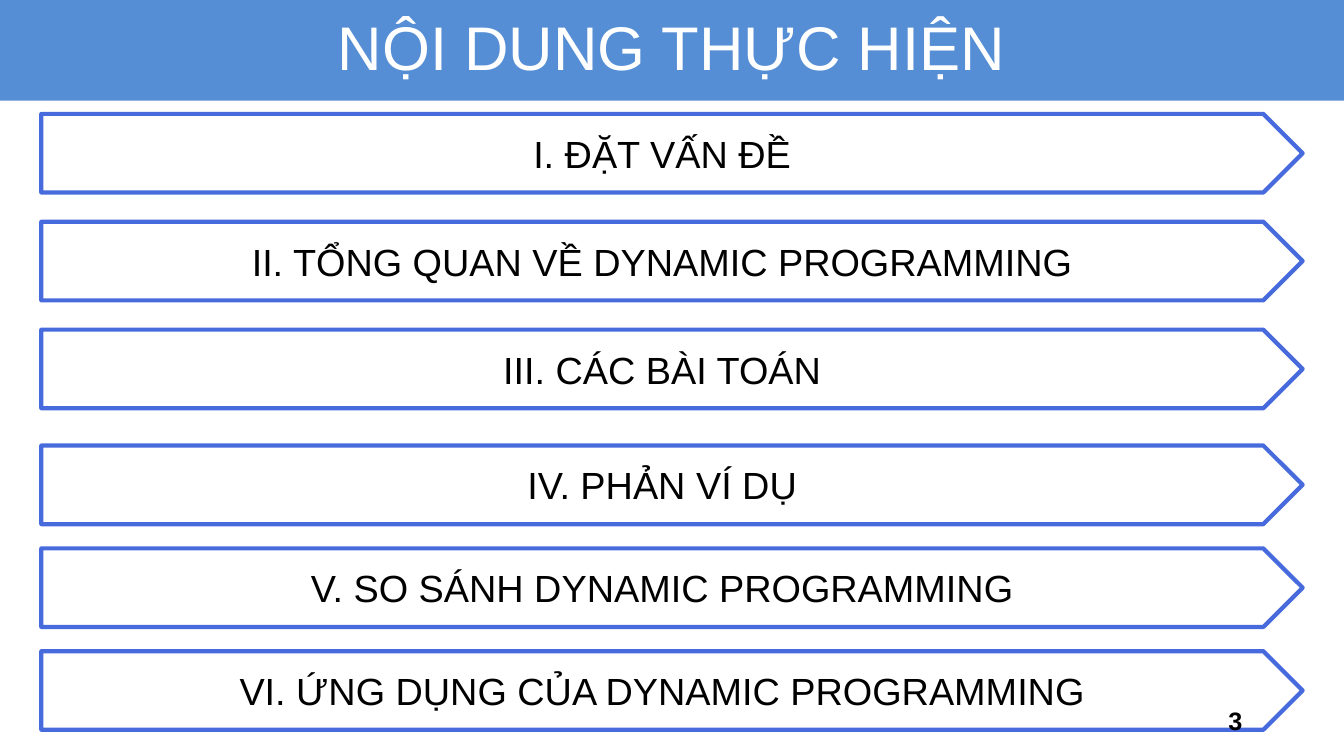
from pptx import Presentation
from pptx.dml.color import RGBColor
from pptx.enum.shapes import MSO_SHAPE
from pptx.enum.text import MSO_ANCHOR, PP_ALIGN
from pptx.util import Emu, Pt

SCALE = 9144
WIDE, HIGH = 1333, 750
GROUPS = [
    (113, 107, ["I. ĐẶT VẤN ĐỀ",
                "II. TỔNG QUAN VỀ DYNAMIC PROGRAMMING",
                "III. CÁC BÀI TOÁN"]),
    (442, 102, ["IV. PHẢN VÍ DỤ",
                "V. SO SÁNH DYNAMIC PROGRAMMING",
                "VI. ỨNG DỤNG CỦA DYNAMIC PROGRAMMING"]),
]


def px(count):
    """Turn pixels into EMU."""
    return Emu(count * SCALE)


def color(code):
    """Turn a hex string into a colour."""
    return RGBColor.from_string(code)


def write(shape, text, size=27, ink="000000", bold=False,
          align=PP_ALIGN.CENTER, space=None):
    """Put one formatted line of text in a shape."""
    frame = shape.text_frame
    frame.word_wrap = True
    frame.vertical_anchor = MSO_ANCHOR.MIDDLE
    line = frame.paragraphs[0]
    line.alignment = align
    line.line_spacing = space
    run = line.add_run()
    run.text = text
    run.font.name = "Arial"
    run.font.size = Pt(size)
    run.font.bold = bold
    run.font.color.rgb = color(ink)


def draw(slide, kind, box, fill, edge=None):
    """Add a filled shape with an optional outline."""
    shape = slide.shapes.add_shape(kind, *map(px, box))
    shape.shadow.inherit = False
    shape.fill.solid()
    shape.fill.fore_color.rgb = color(fill)
    if edge:
        shape.line.color.rgb = color(edge)
        shape.line.width = Pt(3)
    else:
        shape.line.fill.background()
    return shape


def header(slide, box):
    """Draw the title band with its title."""
    left, top, width, height = box
    draw(slide, MSO_SHAPE.RECTANGLE, box, "558ED5")
    title = slide.shapes.add_textbox(
        px(left), px(top + 1), px(width), px(height - 1))
    write(title, "NỘI DUNG THỰC HIỆN", size=44, ink="FFFFFF", space=0.9)


def agenda(slide, box, step, items):
    """Stack item arrows downward from the first box."""
    left, top, width, height = box
    for index, item in enumerate(items):
        place = (left, top + index * step, width, height)
        arrow = draw(slide, MSO_SHAPE.PENTAGON, place, "FFFFFF", "476ADD")
        write(arrow, item)


def footer(slide, box):
    """Write the page number."""
    number = slide.shapes.add_textbox(*map(px, box))
    write(number, "3", size=18, bold=True, align=PP_ALIGN.RIGHT)


def main():
    """Build and save the slide."""
    deck = Presentation()
    deck.slide_width, deck.slide_height = px(WIDE), px(HIGH)
    slide = deck.slides.add_slide(deck.slide_layouts[6])
    header(slide, (0, 0, WIDE, 100))
    for top, step, items in GROUPS:
        agenda(slide, (41, top, 1251, 78), step, items)
    footer(slide, (942, 695, 300, 40))
    deck.save("out.pptx")


if __name__ == "__main__":
    main()
